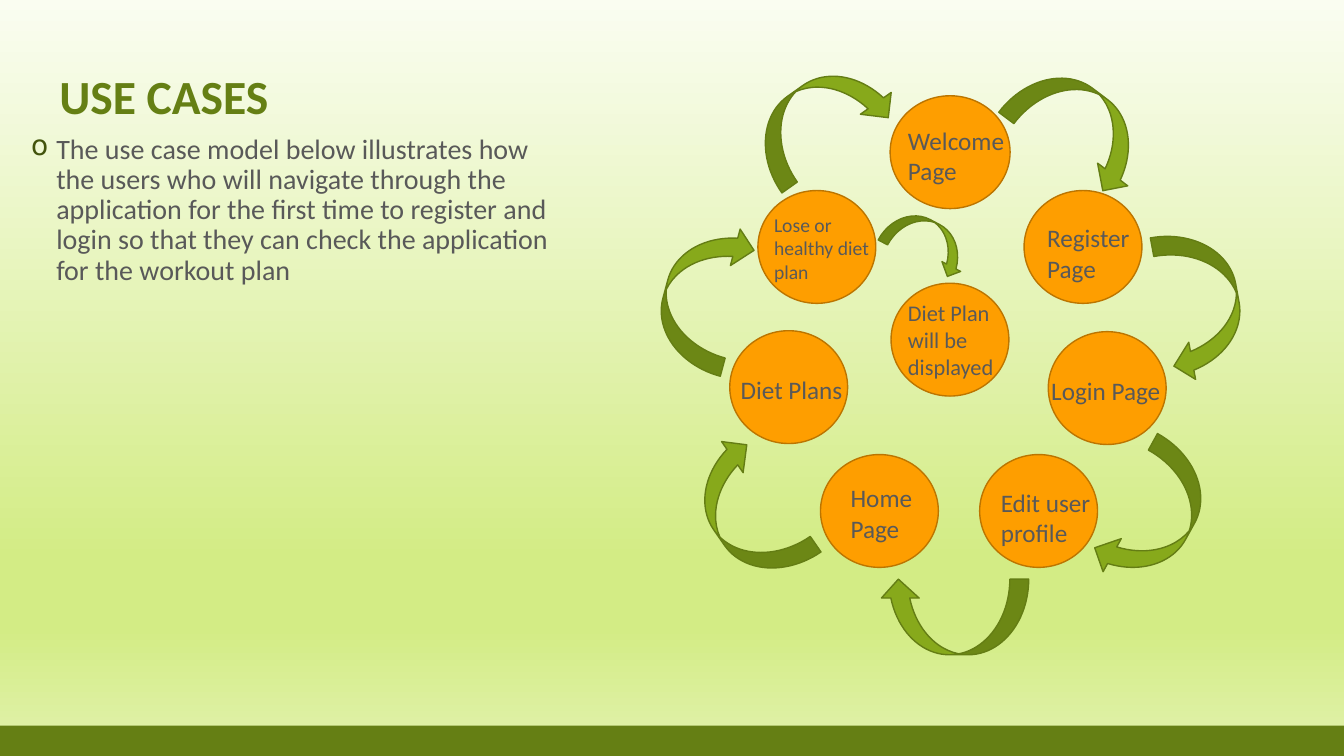
import pptx
import pptx.dml.color
import pptx.enum.shapes
import pptx.enum.text
import pptx.oxml
import pptx.oxml.ns
import pptx.util

Pt = pptx.util.Pt
Kind = pptx.enum.shapes.MSO_SHAPE
OLIVE, GREEN, EDGE = "657F14", "87A91B", "647D14"
AMBER, RIM, GREY, DARK = "FE9E00", "BC7500", "595959", "43540D"
STOPS = [(0, "FAFDF1"), (74, "D3EC85"), (83, "D3EC85"), (100, "E2F2AE")]

# name, size, circle place, label place, arrow place, arrow turn
PAGES = [
    ("Welcome Page", 18, (160.8, 38.4), (166.5, 55.7), (270.2, 7.4), 307),
    ("Register Page", 18, (256.5, 106.1), (265.9, 125.5), (355.9, 134.2), 349.6),
    ("Login Page", 18, (273.8, 206.9), (268.8, 234.2), (322.8, 286.1), 28.8),
    ("Edit user profile", 18, (224.8, 294.7), (232.8, 314.2), (179.5, 357.4), 90),
    ("Home Page", 18, (111.1, 294.7), (125.5, 311.3), (31.9, 282.5), 145.3),
    ("Diet Plans", 18, (46.3, 206.2), (47, 233.5), (0.2, 127), 195),
    ("Lose or healthy diet plan", 14, (66.4, 106.1), (70.8, 118.3), (84.4, 1.7), 234.7),
]


def tint(code):
    """Turn a hex string into a colour."""
    return pptx.dml.color.RGBColor.from_string(code)


def shape(shapes, kind, box, fill, line=None, turn=0):
    """Add a filled preset shape."""
    item = shapes.add_shape(kind, *map(Pt, box))
    item.shadow.inherit = False
    item.fill.solid()
    item.fill.fore_color.rgb = tint(fill)
    if line:
        item.line.color.rgb = tint(line)
        item.line.width = Pt(1)
    else:
        item.line.fill.background()
    item.rotation = turn


def write(shapes, box, text, size, color=GREY):
    """Add a wrapped text box and return it with its paragraph."""
    item = shapes.add_textbox(*map(Pt, box))
    item.text_frame.word_wrap = True
    para = item.text_frame.paragraphs[0]
    para.text = text
    para.font.name = "Calibri"
    para.font.size = Pt(size)
    para.font.color.rgb = tint(color)
    return item, para


def backdrop(slide, width, height):
    """Paint the gradient and the foot band."""
    fill = slide.background.fill
    fill.gradient()
    fill.gradient_angle = 270
    stops = slide.element.find(".//" + pptx.oxml.ns.qn("a:gsLst"))
    for old in list(stops):
        stops.remove(old)
    for place, code in STOPS:
        stops.append(pptx.oxml.parse_xml(
            f'<a:gs {pptx.oxml.ns.nsdecls("a")} pos="{place * 1000}">'
            f'<a:srgbClr val="{code}"/></a:gs>'))
    shape(slide.shapes, Kind.RECTANGLE, (0, height - 21.6, width, 21.6), OLIVE)


def intro(slide, left, top):
    """Write the title and the bulleted text."""
    item, para = write(slide.shapes, (left + 23.8, top, 720, 90), "USE CASES", 34, OLIVE)
    item.text_frame.vertical_anchor = pptx.enum.text.MSO_ANCHOR.BOTTOM
    para.font.bold = True
    para.line_spacing = 0.9
    item, para = write(
        slide.shapes, (left, top + 90, 394.6, 306),
        "The use case model below illustrates how the users who will navigate "
        "through the application for the first time to register and login so that "
        "they can check the application for the workout plan", 20)
    para.line_spacing = 0.9
    props = para._p.get_or_add_pPr()
    props.set("marL", str(Pt(21.6)))
    props.set("indent", str(-Pt(18)))
    space = pptx.oxml.ns.nsdecls("a")
    marks = [f'<a:buClr {space}><a:srgbClr val="{DARK}"/></a:buClr>',
             f'<a:buChar {space} char="o"/>']
    rest = props.find(pptx.oxml.ns.qn("a:defRPr"))
    for mark in marks:
        rest.addprevious(pptx.oxml.parse_xml(mark))


def cycle(slide, left, top):
    """Draw the ring of pages, its arrows and the inner result."""
    shapes = slide.shapes.add_group_shape().shapes

    def node(name, size, spot, label, wide=84.2):
        """Draw one circle with its label."""
        shape(shapes, Kind.FLOWCHART_CONNECTOR,
              (left + spot[0], top + spot[1], wide, 80.6), AMBER, RIM)
        high = 29 if len(name) < 11 else 51
        write(shapes, (left + label[0], top + label[1], 93.6, high), name, size)

    def arrow(spot, turn, wide=54, high=106.6):
        """Draw one curved arrow."""
        shape(shapes, Kind.CURVED_LEFT_ARROW,
              (left + spot[0], top + spot[1], wide, high), GREEN, EDGE, turn)

    for name, size, spot, label, bend, turn in PAGES:
        node(name, size, spot, label, 85.7 if name == "Welcome Page" else 84.2)
        arrow(bend, turn)
    node("Diet Plan will be displayed", 16, (161.5, 172.3), (166.5, 180.2))
    arrow((172.3, 111.1), 297.8, 30.2, 63.4)


def main():
    """Build and save the slide."""
    deck = pptx.Presentation()
    deck.slide_width, deck.slide_height = Pt(960), Pt(540)
    slide = deck.slides.add_slide(deck.slide_layouts[6])
    backdrop(slide, 960, 540)
    intro(slide, 11.5, 2.9)
    cycle(slide, 475, 30)
    deck.save("out.pptx")


if __name__ == "__main__":
    main()
